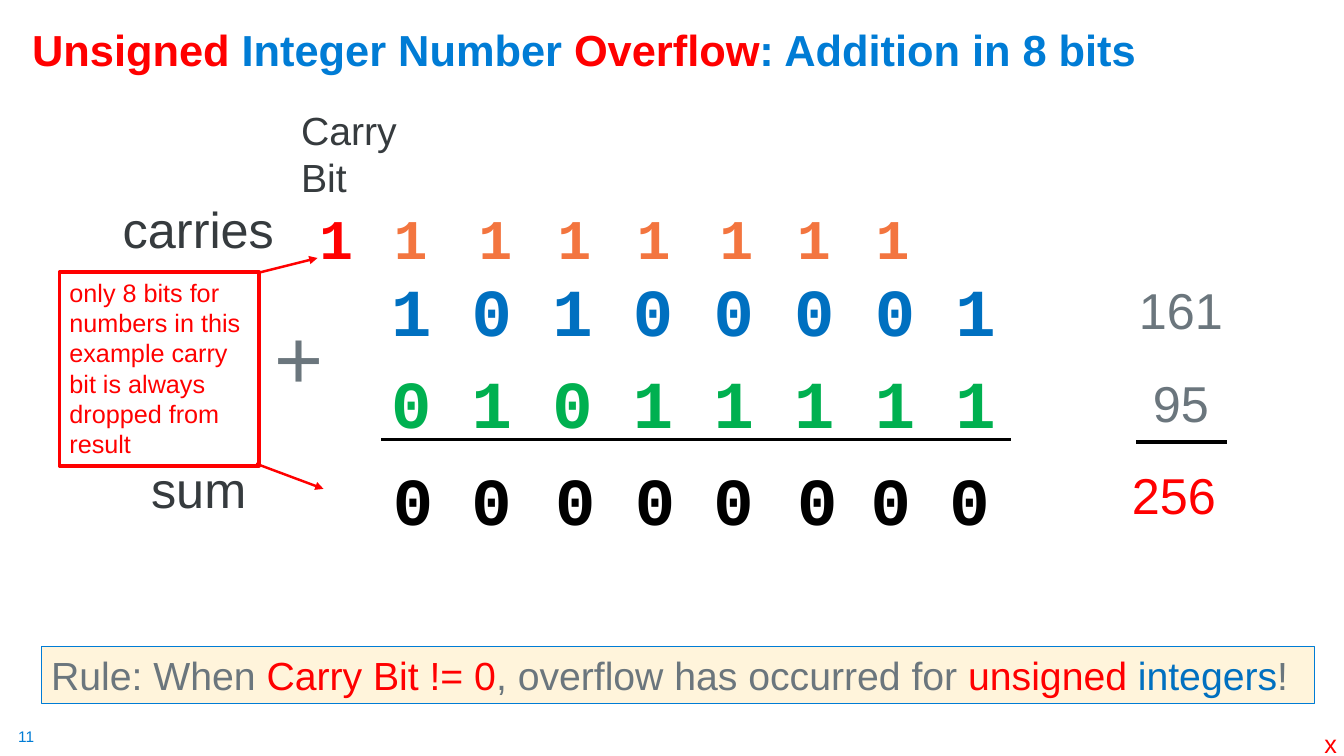
import pptx
import pptx.util
import pptx.oxml.ns
import pptx.dml.color
import pptx.enum.shapes
import pptx.enum.text
import lxml.etree

Pt = pptx.util.Pt
RGBColor = pptx.dml.color.RGBColor
RED = RGBColor(0xFF, 0x00, 0x00)
BLUE = RGBColor(0x00, 0x7C, 0xD5)
DEEP_BLUE = RGBColor(0x00, 0x70, 0xC0)
GREEN = RGBColor(0x00, 0xB0, 0x50)
ORANGE = RGBColor(0xF3, 0x75, 0x3F)
BLACK = RGBColor(0x00, 0x00, 0x00)
GRAY = RGBColor(0x6B, 0x76, 0x7D)
DARK = RGBColor(0x36, 0x3B, 0x3E)
CREAM = RGBColor(0xFF, 0xF4, 0xDB)
SANS, MONO = "Arial", "Courier New"


def add_runs(p, runs, size, font=SANS, bold=False):
    p.alignment = pptx.enum.text.PP_ALIGN.LEFT
    for text, color in runs:
        r = p.add_run()
        r.text = text
        r.font.name, r.font.size, r.font.bold = font, Pt(size), bold
        r.font.color.rgb = color


def add_text(slide, x, y, w, h, text, size, color, font=SANS, bold=False, inset=True):
    sp = slide.shapes.add_textbox(Pt(x), Pt(y), Pt(w), Pt(h))
    tf = sp.text_frame
    tf.word_wrap = True
    if not inset:
        tf.margin_left = tf.margin_top = tf.margin_right = tf.margin_bottom = 0
    for i, line in enumerate(text.split("\n")):
        p = tf.add_paragraph() if i else tf.paragraphs[0]
        add_runs(p, [(line, color)], size, font, bold)


def add_panel(slide, x, y, w, h, runs, size, line, weight, fill=None):
    sp = slide.shapes.add_shape(
        pptx.enum.shapes.MSO_SHAPE.RECTANGLE, Pt(x), Pt(y), Pt(w), Pt(h))
    sp.shadow.inherit = False
    if fill is None:
        sp.fill.background()
    else:
        sp.fill.solid()
        sp.fill.fore_color.rgb = fill
    sp.line.color.rgb, sp.line.width = line, Pt(weight)
    tf = sp.text_frame
    tf.word_wrap = True
    tf.vertical_anchor = pptx.enum.text.MSO_ANCHOR.TOP
    add_runs(tf.paragraphs[0], runs, size)


def add_line(slide, x1, y1, x2, y2, color, weight, arrow=False):
    sp = slide.shapes.add_connector(
        pptx.enum.shapes.MSO_CONNECTOR.STRAIGHT, Pt(x1), Pt(y1), Pt(x2), Pt(y2))
    sp.line.color.rgb, sp.line.width = color, Pt(weight)
    qn = pptx.oxml.ns.qn
    if arrow:
        lxml.etree.SubElement(sp.line._get_or_add_ln(), qn("a:tailEnd"), type="triangle")
    lxml.etree.SubElement(sp._element.spPr, qn("a:effectLst"))


def add_title(slide, x, y, w, h):
    sp = slide.shapes.title
    sp.left, sp.top, sp.width, sp.height = Pt(x), Pt(y), Pt(w), Pt(h)
    tf = sp.text_frame
    tf.word_wrap = True
    tf.auto_size = pptx.enum.text.MSO_AUTO_SIZE.NONE
    tf.vertical_anchor = pptx.enum.text.MSO_ANCHOR.BOTTOM
    p = tf.paragraphs[0]
    p.line_spacing = 0.9
    add_runs(p, [("Unsigned", RED), (" Integer Number ", BLUE), ("Overflow", RED),
                 (": Addition in 8 bits", BLUE)], 31, bold=True)


def add_binary_sum(slide, x, y, w):
    # Carry digits, the carry bit first
    for i, dx in enumerate((-51.2, 2, 62.6, 119, 175.7, 234.7, 290.2, 346.3)):
        add_text(slide, x + dx, y, 39, 55.4, "1", 40, ORANGE if i else RED, MONO, True)
    # Operands and rule
    add_text(slide, x, y + 46.8, w, 65.5, "1 0 1 0 0 0 0 1", 48, DEEP_BLUE, MONO, True)
    add_text(slide, x, y + 113, w, 65.5, "0 1 0 1 1 1 1 1", 48, GREEN, MONO, True)
    add_line(slide, x, y + 172.1, x + w, y + 172.1, BLACK, 2.75)
    # Sum digits
    for dx in (1.4, 57.4, 117.3, 174.3, 230.2, 290.2, 342.6, 398.8):
        add_text(slide, x + dx, y + 182.2, 44, 65.5, "0", 48, BLACK, MONO, True)


def add_row_labels(slide, x, y):
    for text, dx, dy, w, h, size, color in (
            ("Carry\nBit", 127.4, 0, 87.1, 74.9, 28, DARK),
            ("carries", 0, 65.5, 123.8, 51, 36, DARK),
            ("+", 108.7, 141.8, 49.8, 79.9, 60, GRAY),
            ("sum", 20.2, 251.3, 83.6, 51, 36, DARK)):
        add_text(slide, x + dx, y + dy, w, h, text, size, color)


def add_decimal_sum(slide, x, y):
    for text, dx, dy, w, color in (("161", 5, 0, 75, GRAY), ("95", 15.1, 66.3, 55, GRAY),
                                   ("256", 0, 132.5, 75, RED)):
        add_text(slide, x + dx, y + dy, w, 51, text, 36, color)
    add_line(slide, x + 10.1, y + 120.2, x + 74.9, y + 120.2, BLACK, 2.75)


def add_carry_note(slide, x, y, w, h):
    add_panel(slide, x, y, w, h, [(
        "only 8 bits for numbers in this example carry bit is always dropped from result",
        RED)], 18, RED, 2.75)
    # Arrows to the carry bit and to its place in the sum
    add_line(slide, x + w - 1.5, y + 0.7, x + w + 41.7, y - 10.1, RED, 1.75, True)
    add_line(slide, x + w - 2.2, y + h - 1.4, x + w + 46, y + h + 16.6, RED, 1.75, True)


def add_rule(slide, x, y, w, h):
    add_panel(slide, x, y, w, h, [
        ("Rule: When ", GRAY), ("Carry Bit != 0", RED),
        (", overflow has occurred for ", GRAY), ("unsigned", RED),
        (" integers", DEEP_BLUE), ("!", GRAY)], 28, BLUE, 0.75, CREAM)


def add_footer(slide, y):
    add_text(slide, 13, y + 2.2, 13.7, 13.7, "11", 11, BLUE, inset=False)
    add_text(slide, 938.9, y, 23.8, 28.8, "x", 18, RED)


def main():
    prs = pptx.Presentation()
    prs.slide_width, prs.slide_height = Pt(960), Pt(540)
    slide = prs.slides.add_slide(prs.slide_layouts[5])
    add_title(slide, 15.8, 1.4, 820.8, 56.2)
    add_binary_sum(slide, 272.2, 141.8, 450)
    add_row_labels(slide, 80.6, 72.7)
    add_decimal_sum(slide, 801.4, 195.8)
    add_rule(slide, 29.5, 461.5, 909.4, 41)
    add_carry_note(slide, 42.5, 194.4, 142.6, 138.2)
    add_footer(slide, 517)
    prs.save("out.pptx")


if __name__ == "__main__":
    main()
